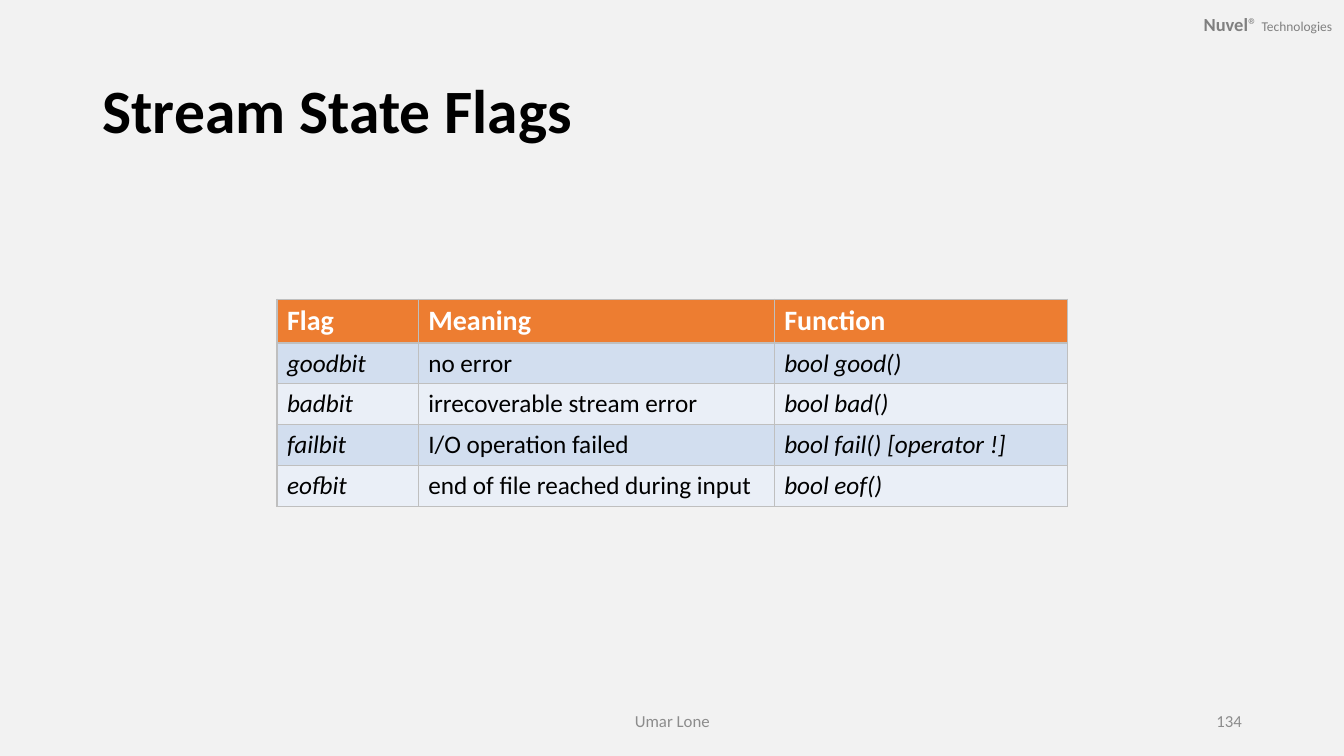
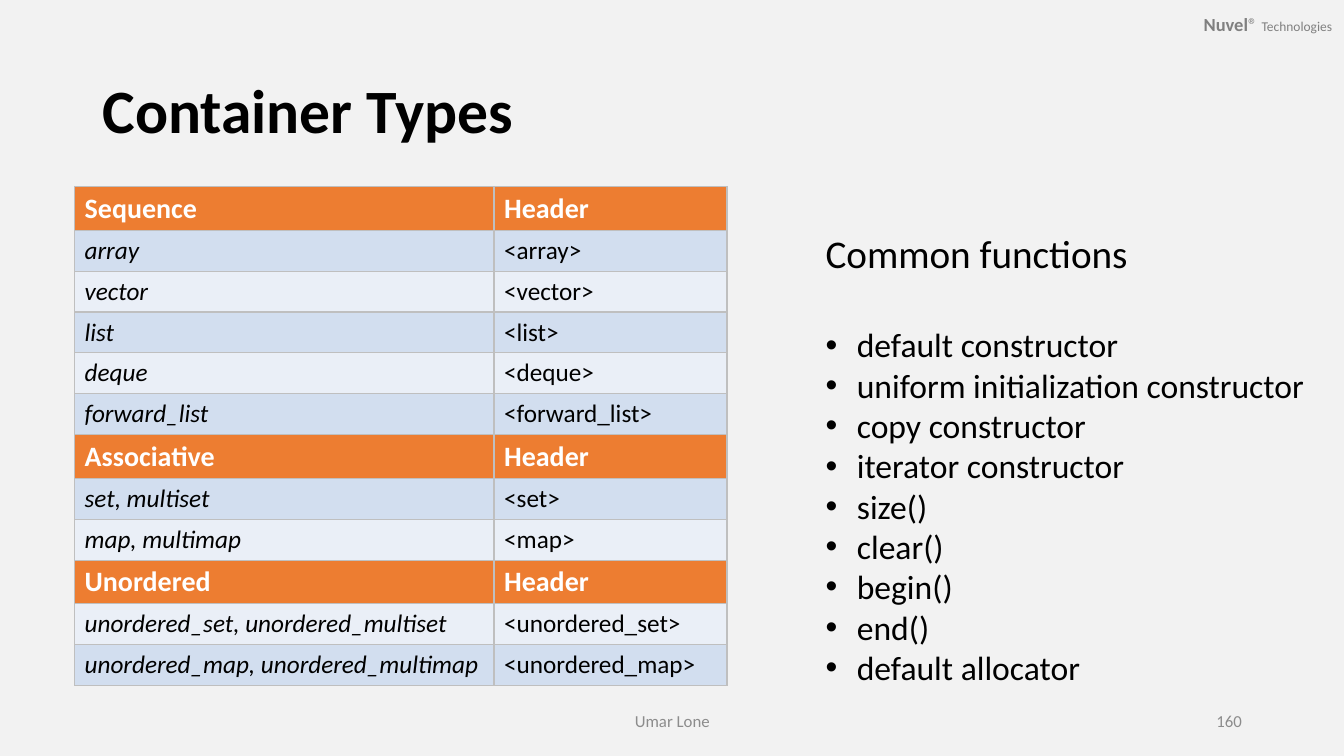
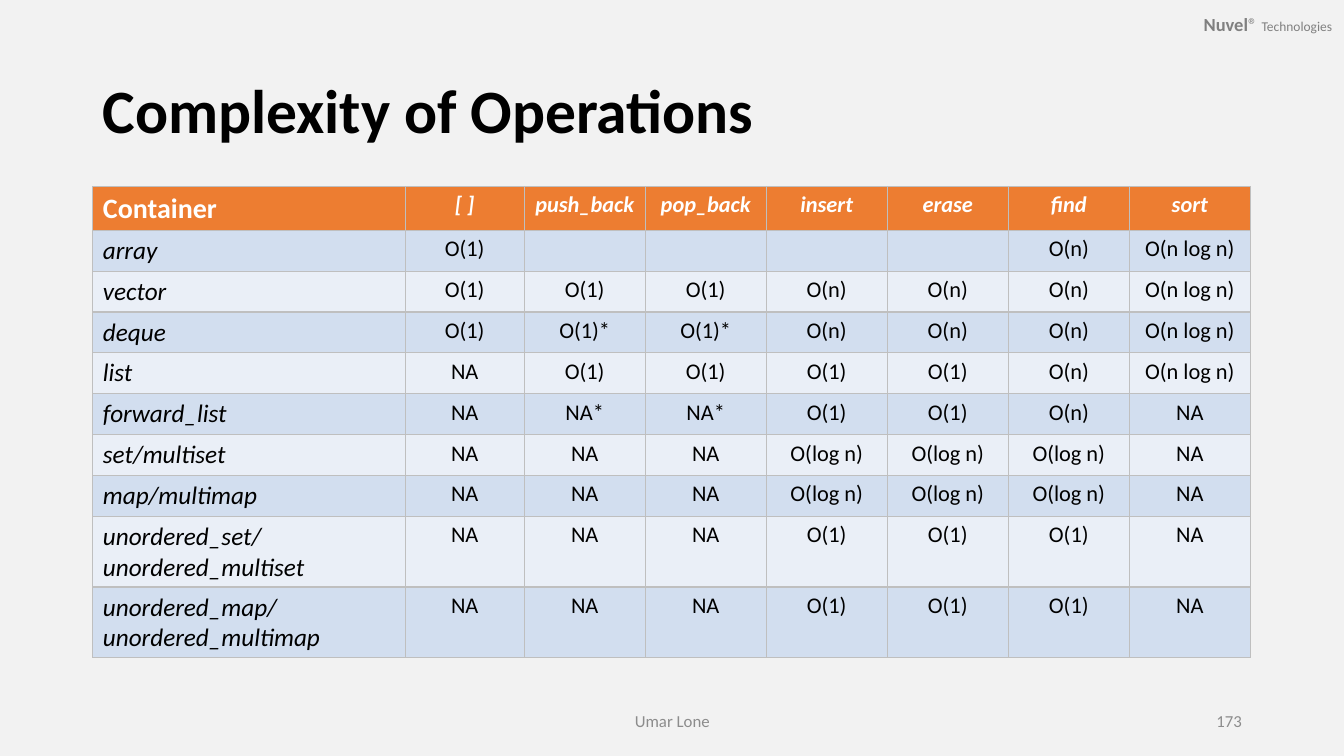
"""Build three slides on C++ stream flags, containers and their complexity."""

from lxml.etree import SubElement
from pptx import Presentation
from pptx.dml.color import RGBColor
from pptx.enum.text import MSO_ANCHOR, MSO_AUTO_SIZE, PP_ALIGN
from pptx.oxml.ns import qn
from pptx.util import Cm, Pt

FONT = "Calibri"
COLOURS = {
    "background": "F2F2F2",
    "text": "000000",
    "header_text": "FFFFFF",
    "header": "ED7D31",
    "odd_row": "D2DEEF",
    "even_row": "EAEFF7",
    "border": "BFBFBF",
    "brand": "808080",
    "footer": "8C8C8C",
}
ROW_HEIGHT = 1.03

SLIDES = [
    {
        "title": "Stream State Flags",
        "number": "134",
        "left": 6.98,
        "top": 7.54,
        "widths": [3.56, 8.97, 7.39],
        "header_rows": [0],
        "italic_columns": [0, 2],
        "centred": False,
        "rows": [
            ["Flag", "Meaning", "Function"],
            ["goodbit", "no error", "bool good()"],
            ["badbit", "irrecoverable stream error", "bool bad()"],
            ["failbit", "I/O operation failed", "bool fail() [operator !]"],
            ["eofbit", "end of file reached during input", "bool eof()"],
        ],
    },
    {
        "title": "Container Types",
        "number": "160",
        "left": 1.88,
        "top": 4.7,
        "widths": [10.57, 5.87],
        "header_rows": [0, 6, 9],
        "italic_columns": [0],
        "centred": False,
        "rows": [
            ["Sequence", "Header"],
            ["array", "<array>"],
            ["vector", "<vector>"],
            ["list", "<list>"],
            ["deque", "<deque>"],
            ["forward_list", "<forward_list>"],
            ["Associative", "Header"],
            ["set, multiset", "<set>"],
            ["map, multimap", "<map>"],
            ["Unordered", "Header"],
            ["unordered_set, unordered_multiset", "<unordered_set>"],
            ["unordered_map, unordered_multimap", "<unordered_map>"],
        ],
        "list_heading": "Common functions",
        "list": [
            "default constructor",
            "uniform initialization constructor",
            "copy constructor",
            "iterator constructor",
            "size()",
            "clear()",
            "begin()",
            "end()",
            "default allocator",
        ],
    },
    {
        "title": "Complexity of Operations",
        "number": "173",
        "left": 2.34,
        "top": 4.7,
        "widths": [7.87, 3.0] + [3.05] * 6,
        "header_rows": [0],
        "italic_columns": [0],
        "centred": True,
        "rows": [
            ["Container", "[ ]", "push_back", "pop_back", "insert", "erase", "find", "sort"],
            ["array", "O(1)", "", "", "", "", "O(n)", "O(n log n)"],
            ["vector", "O(1)", "O(1)", "O(1)", "O(n)", "O(n)", "O(n)", "O(n log n)"],
            ["deque", "O(1)", "O(1)*", "O(1)*", "O(n)", "O(n)", "O(n)", "O(n log n)"],
            ["list", "NA", "O(1)", "O(1)", "O(1)", "O(1)", "O(n)", "O(n log n)"],
            ["forward_list", "NA", "NA*", "NA*", "O(1)", "O(1)", "O(n)", "NA"],
            ["set/multiset", "NA", "NA", "NA", "O(log n)", "O(log n)", "O(log n)", "NA"],
            ["map/multimap", "NA", "NA", "NA", "O(log n)", "O(log n)", "O(log n)", "NA"],
            ["unordered_set/\nunordered_multiset", "NA", "NA", "NA", "O(1)", "O(1)", "O(1)", "NA"],
            ["unordered_map/\nunordered_multimap", "NA", "NA", "NA", "O(1)", "O(1)", "O(1)", "NA"],
        ],
    },
]


def format_paragraph(paragraph, size, colour, bold=False, italic=False, alignment=PP_ALIGN.LEFT):
    paragraph.alignment = alignment
    font = paragraph.font
    font.name = FONT
    font.size = Pt(size)
    font.bold = bold
    font.italic = italic
    font.color.rgb = RGBColor.from_string(COLOURS[colour])


def add_label(slide, position, runs, colour, alignment):
    text_box = slide.shapes.add_textbox(*[Cm(length) for length in position])
    text_frame = text_box.text_frame
    text_frame.word_wrap = True
    text_frame.vertical_anchor = MSO_ANCHOR.MIDDLE
    paragraph = text_frame.paragraphs[0]
    format_paragraph(paragraph, 12, colour, alignment=alignment)
    for text, size, bold in runs:
        run = paragraph.add_run()
        run.text = text
        run.font.size = Pt(size)
        run.font.bold = bold
    return text_frame


presentation = Presentation()
presentation.slide_width = Cm(33.87)
presentation.slide_height = Cm(19.05)
background = presentation.slide_master.background.fill
background.solid()
background.fore_color.rgb = RGBColor.from_string(COLOURS["background"])

for content in SLIDES:
    layout = presentation.slide_layouts[1 if "list" in content else 5]
    slide = presentation.slides.add_slide(layout)

    brand = add_label(
        slide, (28.98, 0.03, 4.89, 1.14),
        [("Nuvel", 13.2, True), ("® ", 13.2, False), ("Technologies", 9.6, False)],
        "brand", PP_ALIGN.RIGHT,
    )
    brand.margin_left = brand.margin_right = Cm(0.3)
    brand.margin_top = brand.margin_bottom = Cm(0.15)

    title = slide.shapes.title
    title.left, title.top, title.width, title.height = Cm(2.33), Cm(1.01), Cm(29.21), Cm(3.68)
    title.text_frame.text = content["title"]
    title.text_frame.vertical_anchor = MSO_ANCHOR.MIDDLE
    title_paragraph = title.text_frame.paragraphs[0]
    title_paragraph.line_spacing = 0.9
    format_paragraph(title_paragraph, 44, "text", bold=True)

    rows, widths = content["rows"], content["widths"]
    table = slide.shapes.add_table(
        len(rows), len(widths), Cm(content["left"]), Cm(content["top"]),
        Cm(sum(widths)), Cm(ROW_HEIGHT * len(rows)),
    ).table
    for column, width in zip(table.columns, widths):
        column.width = Cm(width)
    for row_index, row in enumerate(rows):
        table.rows[row_index].height = Cm(ROW_HEIGHT)
        is_header = row_index in content["header_rows"]
        row_fill = "header" if is_header else "odd_row" if row_index % 2 else "even_row"
        for column_index, text in enumerate(row):
            cell = table.cell(row_index, column_index)
            cell_properties = cell._tc.get_or_add_tcPr()
            for side in ("a:lnL", "a:lnR", "a:lnT", "a:lnB"):
                line = SubElement(cell_properties, qn(side), w=str(Pt(1)))
                line_fill = SubElement(line, qn("a:solidFill"))
                SubElement(line_fill, qn("a:srgbClr"), val=COLOURS["border"])
            cell.fill.solid()
            cell.fill.fore_color.rgb = RGBColor.from_string(COLOURS[row_fill])

            is_value = content["centred"] and column_index > 0
            size = 16 if is_value else 20 if is_header else 18
            italic = is_value if is_header else column_index in content["italic_columns"]
            cell.text = text
            for paragraph in cell.text_frame.paragraphs:
                format_paragraph(
                    paragraph, size, "header_text" if is_header else "text", is_header, italic,
                    PP_ALIGN.CENTER if is_value else PP_ALIGN.LEFT,
                )

    if "list" in content:
        body = slide.placeholders[1]
        body.left, body.top, body.width, body.height = Cm(20.55), Cm(5.66), Cm(13.3), Cm(11.89)
        body.text_frame.text = "\n".join([content["list_heading"]] + content["list"])
        body.text_frame.auto_size = MSO_AUTO_SIZE.NONE
        heading, *items = body.text_frame.paragraphs
        heading_properties = heading._p.get_or_add_pPr()
        heading_properties.set("marL", "0")
        heading_properties.set("indent", "0")
        SubElement(heading_properties, qn("a:buNone"))
        format_paragraph(heading, 28, "text")
        heading.space_before = Pt(0)
        heading.space_after = Pt(34)
        for item in items:
            item_properties = item._p.get_or_add_pPr()
            item_properties.set("marL", str(Cm(0.79)))
            item_properties.set("indent", str(-Cm(0.79)))
            format_paragraph(item, 24, "text")
            item.space_before = Pt(0)

    add_label(slide, (11.23, 17.65, 11.43, 1.02), [("Umar Lone", 12, False)], "footer", PP_ALIGN.CENTER)
    add_label(slide, (23.93, 17.65, 7.62, 1.02), [(content["number"], 12, False)], "footer", PP_ALIGN.RIGHT)

presentation.save("out.pptx")
